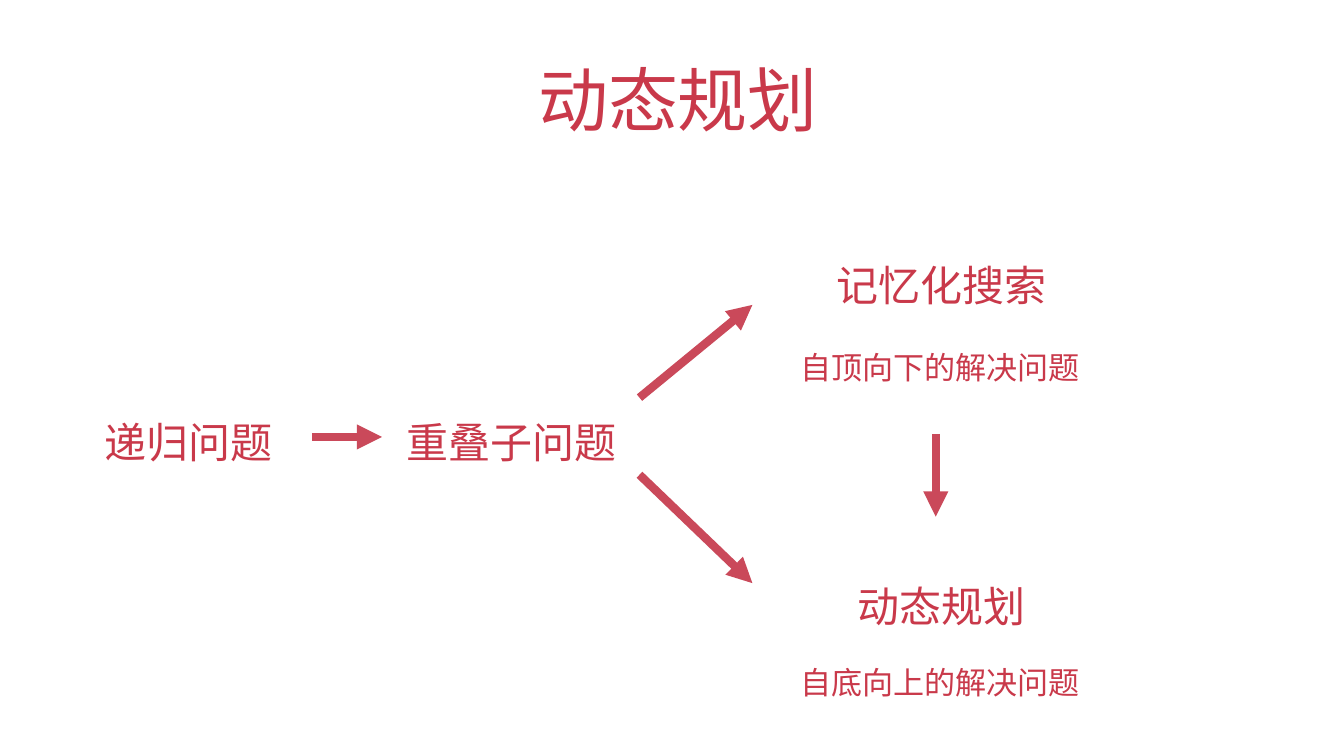
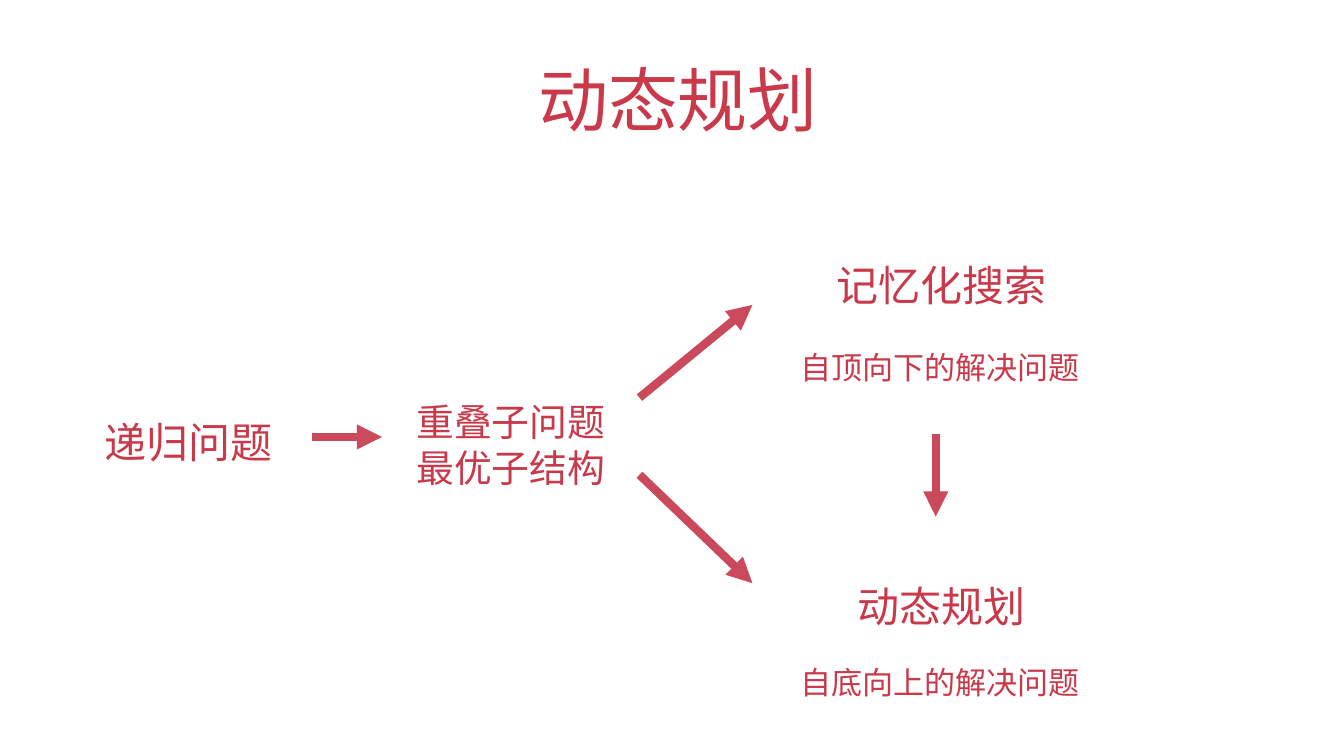
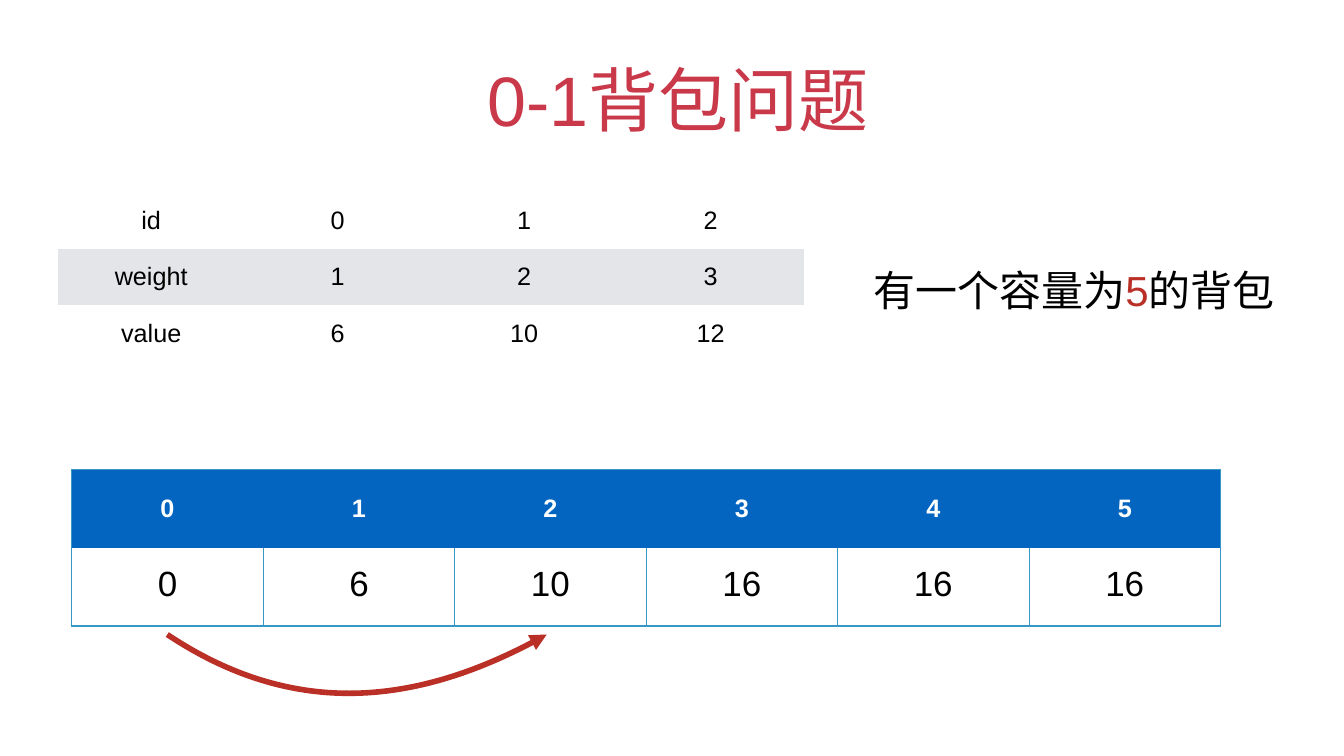
from dataclasses import dataclass

from lxml import etree
from pptx import Presentation
from pptx.dml.color import RGBColor
from pptx.enum.shapes import MSO_CONNECTOR
from pptx.enum.text import MSO_ANCHOR, MSO_AUTO_SIZE, PP_ALIGN
from pptx.oxml.ns import qn
from pptx.util import Pt

STRAIGHT = MSO_CONNECTOR.STRAIGHT
BOTTOM, MIDDLE = MSO_ANCHOR.BOTTOM, MSO_ANCHOR.MIDDLE
FIXED, GROW = MSO_AUTO_SIZE.NONE, MSO_AUTO_SIZE.SHAPE_TO_FIT_TEXT
CENTER, LEFT = PP_ALIGN.CENTER, PP_ALIGN.LEFT
PX = 9144
MARGINS = {f"margin_{side}": 6 * PX for side in ("left", "right", "top", "bottom")}
PLAIN_TABLE = "{2D5ABB26-0587-4C30-8999-92F81FD0307C}"


@dataclass(frozen=True)
class Theme:
    font: str = "Arial"
    heading: str = "C9394A"
    arrow: str = "CA495A"
    accent: str = "BA3027"
    text: str = "000000"
    white: str = "FFFFFF"
    band: str = "E3E5E8"
    header: str = "0365C0"
    border: str = "3797C6"
    title_size: float = 100
    label_size: float = 60
    pair_size: float = 54
    value_size: float = 50
    caption_size: float = 44.4
    cell_size: float = 36


def assign(target, values):
    for name, value in values.items():
        setattr(target, name, value)


class Deck:
    """Builds slides in one style, with lengths in px."""

    def __init__(self, theme):
        self.theme = theme
        self.presentation = Presentation()
        assign(self.presentation, {"slide_width": 2667 * PX, "slide_height": 1500 * PX})
        self.slide = None

    def add_slide(self, title):
        self.slide = self.presentation.slides.add_slide(self.presentation.slide_layouts[0])
        subtitle = self.slide.placeholders[1].element
        subtitle.getparent().remove(subtitle)
        shape = self.slide.shapes.title
        assign(shape, {"left": 194 * PX, "top": 62 * PX, "width": 2278 * PX, "height": 222 * PX})
        self.set_heading(shape, [title], self.theme.title_size, 25)

    def format_frame(self, frame, anchor, wrap=True, auto_size=FIXED):
        assign(frame, {"vertical_anchor": anchor, "word_wrap": wrap, "auto_size": auto_size, **MARGINS})

    def add_text(self, paragraph, text, size, color, bold=False):
        run = paragraph.add_run()
        run.text = text
        assign(run.font, {"name": self.theme.font, "size": Pt(size), "bold": bold})
        run.font.color.rgb = RGBColor.from_string(color)

    def set_heading(self, shape, lines, size, indent):
        frame = shape.text_frame
        self.format_frame(frame, BOTTOM)
        for index, line in enumerate(lines):
            paragraph = frame.add_paragraph() if index else frame.paragraphs[0]
            assign(paragraph, {"alignment": CENTER, "level": 1})
            properties = paragraph._p.get_or_add_pPr()
            properties.set("marL", "0")
            properties.set("indent", str(indent * PX))
            self.add_text(paragraph, line, size, self.theme.heading)

    def add_box(self, left, top, width, height):
        return self.slide.shapes.add_textbox(left * PX, top * PX, width * PX, height * PX)

    def add_label(self, lines, box, size, indent):
        self.set_heading(self.add_box(*box), lines, size, indent)

    def add_note(self, runs, box, size, alignment=LEFT, spacing=None, wrap=True):
        frame = self.add_box(*box).text_frame
        self.format_frame(frame, MIDDLE, wrap, GROW)
        paragraph = frame.paragraphs[0]
        assign(paragraph, {"alignment": alignment, "line_spacing": spacing})
        for text, color in runs:
            self.add_text(paragraph, text, size, color)

    def style_line(self, shape, color, width):
        shape.line.color.rgb = RGBColor.from_string(color)
        shape.line.width = Pt(width)
        properties = shape.element.spPr
        etree.SubElement(properties.find(qn("a:ln")), qn("a:tailEnd"), type="triangle")
        etree.SubElement(properties, qn("a:effectLst"))

    def add_arrow(self, start, end):
        points = [value * PX for value in (*start, *end)]
        arrow = self.slide.shapes.add_connector(STRAIGHT, *points)
        self.style_line(arrow, self.theme.arrow, 12)

    def add_curve(self, start, controls, end):
        left, top = start
        depth = (controls[0][1] - top) * 3 // 4
        builder = self.slide.shapes.build_freeform(left, top, scale=PX)
        builder.add_line_segments([(controls[0][0], top + depth), end], close=False)
        shape = builder.convert_to_shape()
        outline = shape.element.find(".//" + qn("a:path"))
        for segment in outline.findall(qn("a:lnTo")):
            outline.remove(segment)
        curve = etree.SubElement(outline, qn("a:cubicBezTo"))
        for x, y in (*controls, end):
            etree.SubElement(curve, qn("a:pt"), x=str(x - left), y=str(y - top))
        shape.fill.background()
        self.style_line(shape, self.theme.accent, 8)

    def add_table(self, rows, left, top, column_width, row_height):
        count = len(rows[0])
        frame = self.slide.shapes.add_table(len(rows), count, left * PX, top * PX,
                                            column_width * count * PX, row_height * len(rows) * PX)
        table = frame.table
        assign(table, {"first_row": False, "horz_banding": False})
        table._tbl.tblPr.find(qn("a:tableStyleId")).text = PLAIN_TABLE
        return table

    def fill_row(self, table, row, texts, fill, color, bold=False):
        for column, text in enumerate(texts):
            cell = table.cell(row, column)
            cell.fill.solid()
            cell.fill.fore_color.rgb = RGBColor.from_string(fill)
            assign(cell, {"vertical_anchor": MIDDLE, **MARGINS})
            if text:
                paragraph = cell.text_frame.paragraphs[0]
                paragraph.alignment = CENTER
                self.add_text(paragraph, text, self.theme.cell_size, color, bold)

    def set_borders(self, cell, widths):
        properties = cell._tc.get_or_add_tcPr()
        sides = [side for side in "LRTB" if side in widths]
        for index, side in enumerate(sides):
            line = etree.Element(qn(f"a:ln{side}"), w=str(int(Pt(widths[side]))))
            fill = etree.SubElement(line, qn("a:solidFill"))
            etree.SubElement(fill, qn("a:srgbClr"), val=self.theme.border)
            properties.insert(index, line)


def add_approach_slide(deck, middle_lines, middle_box, middle_size, middle_indent):
    theme = deck.theme
    deck.add_slide("动态规划")
    deck.add_label(middle_lines, middle_box, middle_size, middle_indent)
    for text, box in (("递归问题", (167, 791, 391, 141)),
                      ("记忆化搜索", (1558, 480, 597, 141)),
                      ("动态规划", (1612, 1116, 489, 141))):
        deck.add_label([text], box, theme.label_size, 25)
    for text, top in (("自顶向下的解决问题", 630), ("自底向上的解决问题", 1255)):
        deck.add_label([text], (1558, top, 597, 141), theme.caption_size, 18)
    for start, end in (((619, 867), (758, 867)), ((1269, 789), (1493, 605)),
                       ((1269, 942), (1493, 1157)), ((1857, 861), (1857, 1025))):
        deck.add_arrow(start, end)


def add_knapsack_slide(deck):
    theme = deck.theme
    deck.add_slide("0-1背包问题")
    items = [("id", "0", "1", "2"), ("weight", "1", "2", "3"), ("value", "6", "10", "12")]
    table = deck.add_table(items, 115, 382, 370, 112)
    for row, texts in enumerate(items):
        deck.fill_row(table, row, texts, theme.band if row % 2 else theme.white, theme.text)

    best_values = ("0", "6", "10", "16", "16", "16")
    capacities = [str(capacity) for capacity in range(len(best_values))]
    blanks = [""] * len(best_values)
    left, column_width, last = 142, 380, len(best_values) - 1
    table = deck.add_table([capacities, blanks], left, 932, column_width, 155)
    deck.fill_row(table, 0, capacities, theme.header, theme.white, bold=True)
    deck.fill_row(table, 1, blanks, theme.white, theme.text)
    for column in range(len(best_values)):
        outer = {"L": 2} if column == 0 else {"R": 2} if column == last else {}
        deck.set_borders(table.cell(0, column), {"T": 2, **outer})
        deck.set_borders(table.cell(1, column), {"L": 1, "R": 1, "B": 2, **outer})

    deck.add_note([("有一个容量为", theme.text), ("5", theme.accent), ("的背包", theme.text)],
                  (1727, 486, 844, 128), theme.label_size, spacing=1.5)
    for column, text in enumerate(best_values):
        width = 51 if len(text) == 1 else 90
        center = left + column * column_width + column_width // 2
        deck.add_note([(text, theme.text)], (center - width // 2, 1108, width, 94),
                      theme.value_size, CENTER, wrap=False)
    deck.add_curve((332, 1259), [(562, 1412), (813, 1412)], (1085, 1259))


def main():
    deck = Deck(Theme())
    theme = deck.theme
    add_approach_slide(deck, ["重叠子问题"], (758, 791, 489, 141), theme.label_size, 25)
    add_approach_slide(deck, ["重叠子问题", "最优子结构"], (758, 756, 489, 222), theme.pair_size, 22)
    add_knapsack_slide(deck)
    deck.presentation.save("out.pptx")


if __name__ == "__main__":
    main()
